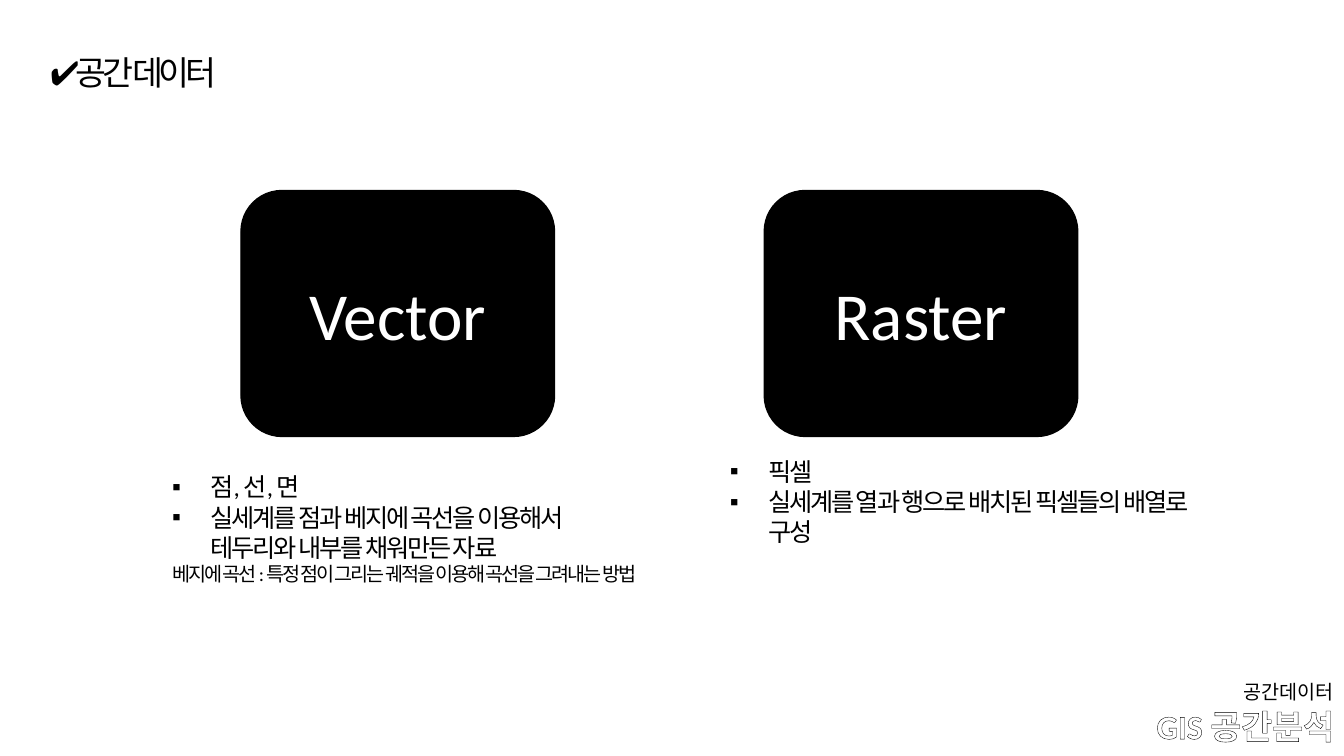
from lxml.etree import SubElement
from pptx import Presentation
from pptx.dml.color import RGBColor
from pptx.enum.shapes import MSO_SHAPE
from pptx.enum.text import MSO_ANCHOR, MSO_AUTO_SIZE, PP_ALIGN
from pptx.oxml import parse_xml
from pptx.oxml.ns import nsdecls, qn
from pptx.util import Inches, Pt

BLACK, WHITE = "000000", "FFFFFF"


def color(hex_text):
    return RGBColor.from_string(hex_text)


def write(frame, lines, anchor=MSO_ANCHOR.TOP, align=PP_ALIGN.LEFT,
          font="Calibri", ink=BLACK, spacing=0, grow=True):
    """Fill a frame with (text, size, bulleted) lines; spacing is in points."""
    frame.word_wrap = True
    frame.vertical_anchor = anchor
    frame.auto_size = MSO_AUTO_SIZE.SHAPE_TO_FIT_TEXT if grow else MSO_AUTO_SIZE.NONE
    for index, (text, size, bulleted) in enumerate(lines):
        paragraph = frame.add_paragraph() if index else frame.paragraphs[0]
        paragraph.text = text
        paragraph.alignment = align
        if bulleted:
            properties = paragraph._p.get_or_add_pPr()
            properties.set("marL", str(Inches(0.38)))
            properties.set("indent", str(-Inches(0.38)))
            SubElement(properties, qn("a:buFont"), typeface="Arial")
            SubElement(properties, qn("a:buChar"), char="▪")
        for run in paragraph.runs:
            for name, value in {"name": font, "size": Pt(size)}.items():
                setattr(run.font, name, value)
            run.font.color.rgb = color(ink)
            if spacing:
                run._r.get_or_add_rPr().set("spc", str(int(spacing * 100)))


presentation = Presentation()
presentation.slide_width = Inches(13.33)
presentation.slide_height = Inches(7.5)
slide = presentation.slides.add_slide(presentation.slide_layouts[6])

course = slide.shapes.add_textbox(Inches(10.33), Inches(6.94), Inches(3), Inches(0.57))
write(course.text_frame, [("GIS 공간분석", 24, False)], MSO_ANCHOR.MIDDLE,
      PP_ALIGN.RIGHT, ink=WHITE, grow=False)
course_line = course.text_frame.paragraphs[0]
course_line.line_spacing = 0.9
course_run = course_line.runs[0]
course_run.font.bold = True
course_run._r.get_or_add_rPr().insert(0, parse_xml(
    f'<a:ln {nsdecls("a")} w="{Pt(0.25)}"><a:solidFill>'
    f'<a:srgbClr val="{BLACK}"/></a:solidFill></a:ln>'))

chapter = slide.shapes.add_textbox(Inches(11.51), Inches(6.7), Inches(1.82), Inches(0.33))
write(chapter.text_frame, [("공간데이터", 14, False)], align=PP_ALIGN.RIGHT)

heading = slide.shapes.add_textbox(Inches(0.4), Inches(0.47), Inches(5.54), Inches(0.5))
write(heading.text_frame, [("✔공간 데이터", 24, False)], font="Arial", spacing=-3)

data_models = [
    ("Vector", 2.39, 1.61, 1.25, [
        ("점, 선, 면", 18, True),
        ("실세계를 점과 베지에 곡선을 이용해서\v테두리와 내부를 채워만든 자료", 18, True),
        ("베지에 곡선 : 특정 점이 그리는 궤적을 이용해 곡선을 그려내는 방법", 14, False),
    ]),
    ("Raster", 7.58, 7.14, 0.71, [
        ("픽셀", 18, True),
        ("실세계를 열과 행으로 배치된 픽셀들의 배열로 구성", 18, True),
    ]),
]
for model, card_left, notes_left, notes_height, notes_lines in data_models:
    group = slide.shapes.add_group_shape()
    card = group.shapes.add_shape(MSO_SHAPE.ROUNDED_RECTANGLE, Inches(card_left),
                                  Inches(1.89), Inches(3.11), Inches(2.44))
    card.shadow.inherit = False
    card.fill.solid()
    card.fill.fore_color.rgb = color(BLACK)
    card.line.color.rgb = color(BLACK)
    card.line.width = Pt(1)
    write(card.text_frame, [(model, 48, False)], MSO_ANCHOR.MIDDLE,
          PP_ALIGN.CENTER, ink=WHITE, grow=False)

    notes = group.shapes.add_textbox(Inches(notes_left), Inches(4.62),
                                     Inches(5.06), Inches(notes_height))
    write(notes.text_frame, notes_lines, MSO_ANCHOR.MIDDLE, spacing=-1.5)

presentation.save("out.pptx")
